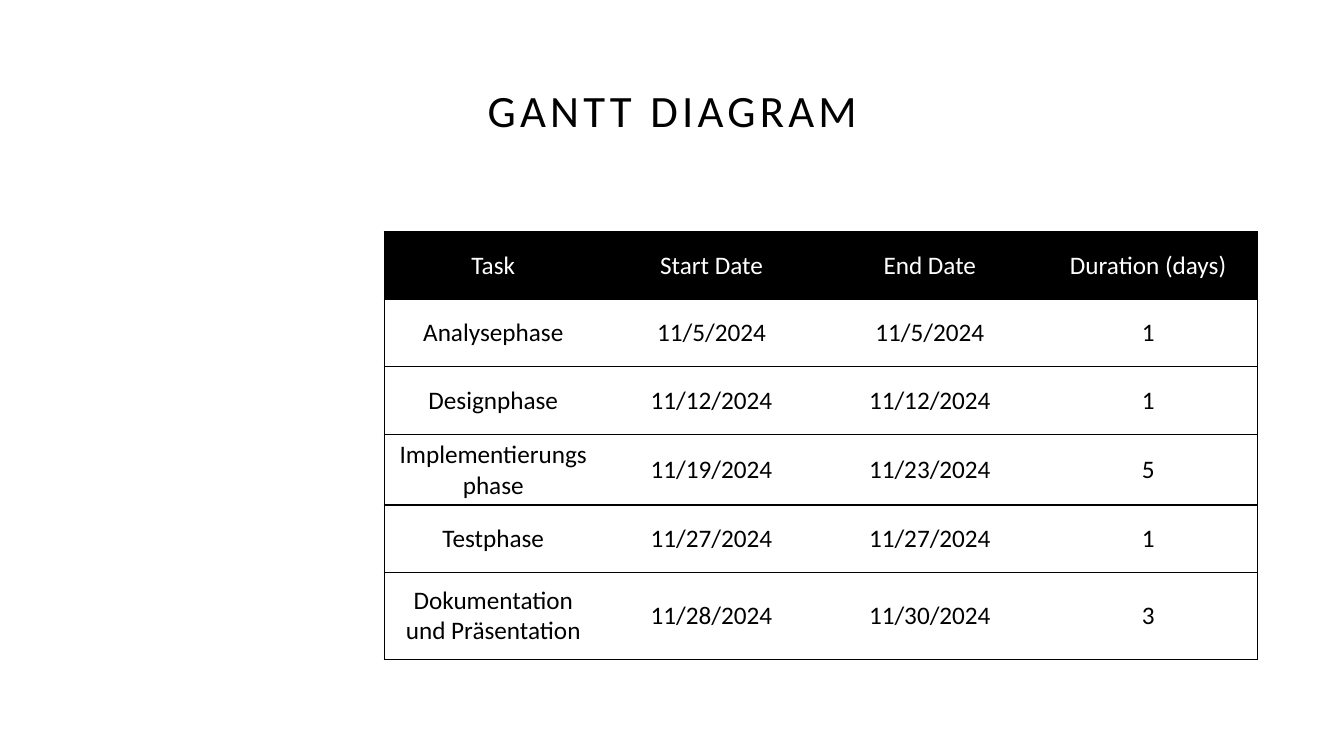
"""Build a slide with the phase schedule of a Gantt diagram as a table."""
import pptx
import pptx.dml.color
import pptx.enum.text
import pptx.util
from lxml import etree
from pptx.oxml.ns import qn

BLACK = pptx.dml.color.RGBColor(0x00, 0x00, 0x00)
WHITE = pptx.dml.color.RGBColor(0xFF, 0xFF, 0xFF)
Inches, Pt = pptx.util.Inches, pptx.util.Pt
CENTER = pptx.enum.text.PP_ALIGN.CENTER
MIDDLE = pptx.enum.text.MSO_ANCHOR.MIDDLE
ROW_H, LAST_ROW_H, COL_W = 0.67, 0.86, 2.165

SCHEDULE = [
    ("Task", "Start Date", "End Date", "Duration (days)"),
    ("Analysephase", "11/5/2024", "11/5/2024", "1"),
    ("Designphase", "11/12/2024", "11/12/2024", "1"),
    ("Implementierungsphase", "11/19/2024", "11/23/2024", "5"),
    ("Testphase", "11/27/2024", "11/27/2024", "1"),
    ("Dokumentation und Präsentation", "11/28/2024", "11/30/2024", "3"),
]
n_rows, n_cols = len(SCHEDULE), len(SCHEDULE[0])


def write(p, text, size, color):
    p.alignment = CENTER
    r = p.add_run()
    r.text = text
    for name, value in {"name": "Calibri", "size": Pt(size), "bold": False}.items():
        setattr(r.font, name, value)
    r.font.color.rgb = color
    return r


def add_border(cell, side, visible):
    ln = etree.SubElement(cell._tc.get_or_add_tcPr(), qn(f"a:ln{side}"), w=str(Pt(1)))
    if visible:
        fill = etree.SubElement(ln, qn("a:solidFill"))
        etree.SubElement(fill, qn("a:srgbClr"), val=str(BLACK))
    else:
        etree.SubElement(ln, qn("a:noFill"))


prs = pptx.Presentation()
prs.slide_width, prs.slide_height = Inches(13.33), Inches(7.5)
s = prs.slides.add_slide(prs.slide_layouts[6])
s.background.fill.solid()
s.background.fill.fore_color.rgb = WHITE

sp = s.shapes.add_textbox(Inches(0.92), Inches(0.4), Inches(11.5), Inches(1.45))
tf = sp.text_frame
for name, value in {"word_wrap": True, "vertical_anchor": MIDDLE}.items():
    setattr(tf, name, value)
p = tf.paragraphs[0]
p.line_spacing = 0.9
r = write(p, "GANTT DIAGRAM", 32, BLACK)
r.font._element.set("spc", "300")

table = s.shapes.add_table(
    n_rows, n_cols, Inches(3.81), Inches(2.3),
    Inches(n_cols * COL_W), Inches((n_rows - 1) * ROW_H + LAST_ROW_H),
).table
table.horz_banding = False
for col in table.columns:
    col.width = Inches(COL_W)
for i, row in enumerate(table.rows):
    row.height = Inches(LAST_ROW_H if i == n_rows - 1 else ROW_H)

for i, values in enumerate(SCHEDULE):
    for j, value in enumerate(values):
        cell = table.cell(i, j)
        cell.vertical_anchor = MIDDLE
        edges = {"L": j == 0, "R": j == n_cols - 1, "T": True, "B": True}
        for side, visible in edges.items():
            add_border(cell, side, visible)
        cell.fill.solid()
        cell.fill.fore_color.rgb = BLACK if i == 0 else WHITE
        write(cell.text_frame.paragraphs[0], value, 18, WHITE if i == 0 else BLACK)

prs.save("out.pptx")
